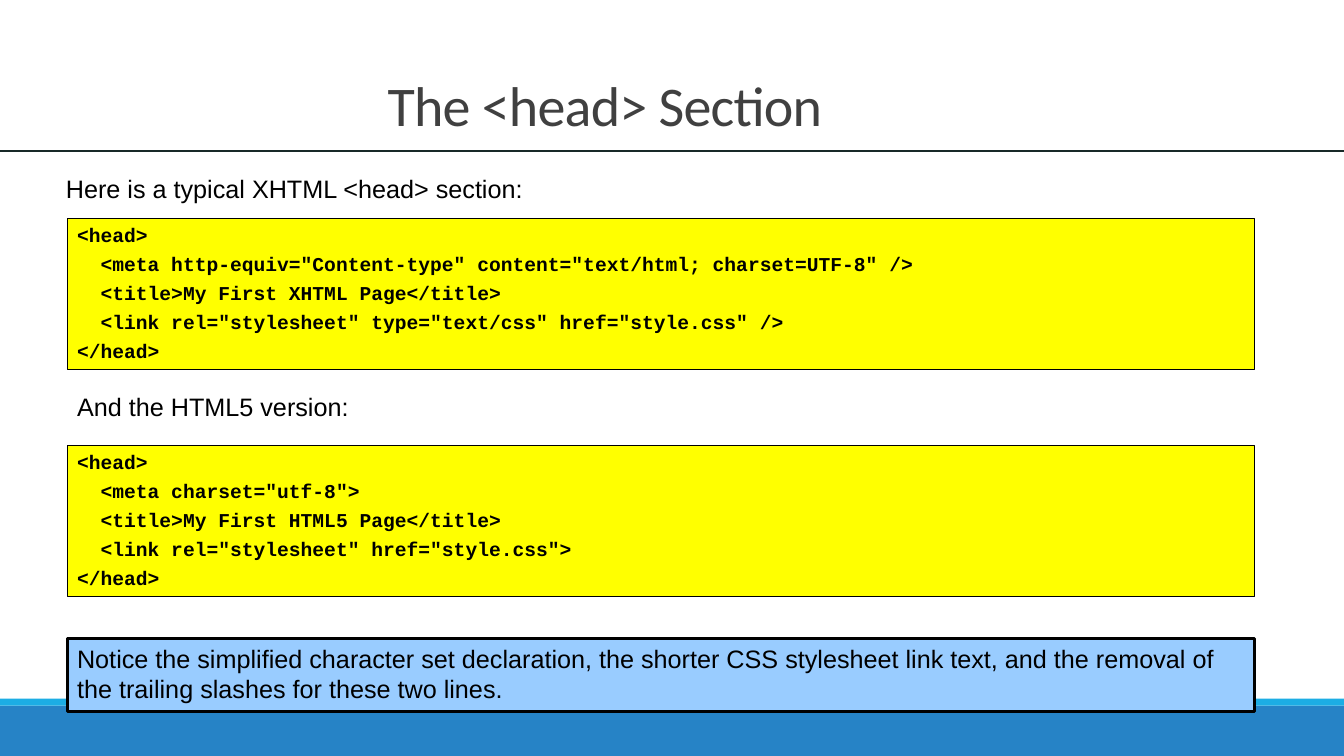
from lxml import etree
from pptx import Presentation
from pptx.dml.color import RGBColor
from pptx.enum import shapes, text
from pptx.oxml.ns import qn
from pptx.util import Pt

COLORS = {
    "band": "2683C6",
    "stripe": "1CADE4",
    "title": "404040",
    "rule": "182928",
    "code": "FFFF00",
    "note": "99CCFF",
    "ink": "000000",
}
SLIDE_W, SLIDE_H = 960, 540
BOX_LEFT, BOX_W = 48, 848

XHTML_HEAD = """<head>
  <meta http-equiv="Content-type" content="text/html; charset=UTF-8" />
  <title>My First XHTML Page</title>
  <link rel="stylesheet" type="text/css" href="style.css" />
</head>"""

HTML5_HEAD = """<head>
  <meta charset="utf-8">
  <title>My First HTML5 Page</title>
  <link rel="stylesheet" href="style.css">
</head>"""


def rgb(name):
    return RGBColor.from_string(COLORS[name])


def add_run(p, content, size, font="Arial", color="ink", bold=False):
    r = p.add_run()
    r.text = content
    r.font.name = font
    r.font.size = Pt(size)
    r.font.bold = bold
    r.font.color.rgb = rgb(color)
    return r


def add_box(s, left, top, width, height, fill, line_width=0):
    """Add a filled rectangle, outlined when line_width is given."""
    sp = s.shapes.add_shape(shapes.MSO_SHAPE.RECTANGLE,
                            Pt(left), Pt(top), Pt(width), Pt(height))
    sp.shadow.inherit = False
    sp.fill.solid()
    sp.fill.fore_color.rgb = rgb(fill)
    if line_width:
        sp.line.color.rgb = rgb("ink")
        sp.line.width = Pt(line_width)
    else:
        sp.line.fill.background()
    tf = sp.text_frame
    tf.word_wrap = True
    tf.vertical_anchor = text.MSO_ANCHOR.TOP
    tf.paragraphs[0].alignment = text.PP_ALIGN.LEFT
    return tf


def add_title(s, content):
    sp = s.shapes.add_textbox(Pt(0), Pt(36), Pt(864), Pt(66))
    tf = sp.text_frame
    tf.word_wrap = True
    tf.vertical_anchor = text.MSO_ANCHOR.BOTTOM
    p = tf.paragraphs[0]
    p.alignment = text.PP_ALIGN.CENTER
    p.line_spacing = 0.85
    r = add_run(p, content, 40, "Calibri", "title")
    r.font._element.set("spc", "-50")


def add_rule(s, top):
    line = s.shapes.add_connector(shapes.MSO_CONNECTOR.STRAIGHT,
                                  Pt(0), Pt(top), Pt(SLIDE_W), Pt(top))
    line.line.color.rgb = rgb("rule")
    line.line.width = Pt(1.25)
    etree.SubElement(line._element.spPr, qn("a:effectLst"))


def add_lead_in(s, left, top, width, content):
    sp = s.shapes.add_textbox(Pt(left), Pt(top), Pt(width), Pt(29))
    tf = sp.text_frame
    tf.word_wrap = False
    add_run(tf.paragraphs[0], content, 18)


def add_code(s, top, code):
    tf = add_box(s, BOX_LEFT, top, BOX_W, 108, "code", 0.75)
    for i, line in enumerate(code.splitlines()):
        p = tf.add_paragraph() if i else tf.paragraphs[0]
        p.alignment = text.PP_ALIGN.LEFT
        if i:
            p.space_before = Pt(3.8)
        add_run(p, line, 14, "Courier New", bold=True)


def add_note(s, content):
    tf = add_box(s, BOX_LEFT, 456, BOX_W, 52.5, "note", 2)
    add_run(tf.paragraphs[0], content, 18)


def main():
    prs = Presentation()
    prs.slide_width, prs.slide_height = Pt(SLIDE_W), Pt(SLIDE_H)
    s = prs.slides.add_slide(prs.slide_layouts[6])

    add_box(s, 0, 504, SLIDE_W, 36, "band")
    add_box(s, 0, 499, SLIDE_W, 5, "stripe")
    add_title(s, "The <head> Section")
    add_rule(s, 108)
    add_lead_in(s, 40, 120, 344, "Here is a typical XHTML <head> section:")
    add_code(s, 156, XHTML_HEAD)
    add_lead_in(s, BOX_LEFT, 276, 210, "And the HTML5 version:")
    add_code(s, 318, HTML5_HEAD)
    add_note(s, "Notice the simplified character set declaration, the shorter "
                "CSS stylesheet link text, and the removal of the trailing "
                "slashes for these two lines.")
    prs.save("out.pptx")


if __name__ == "__main__":
    main()
